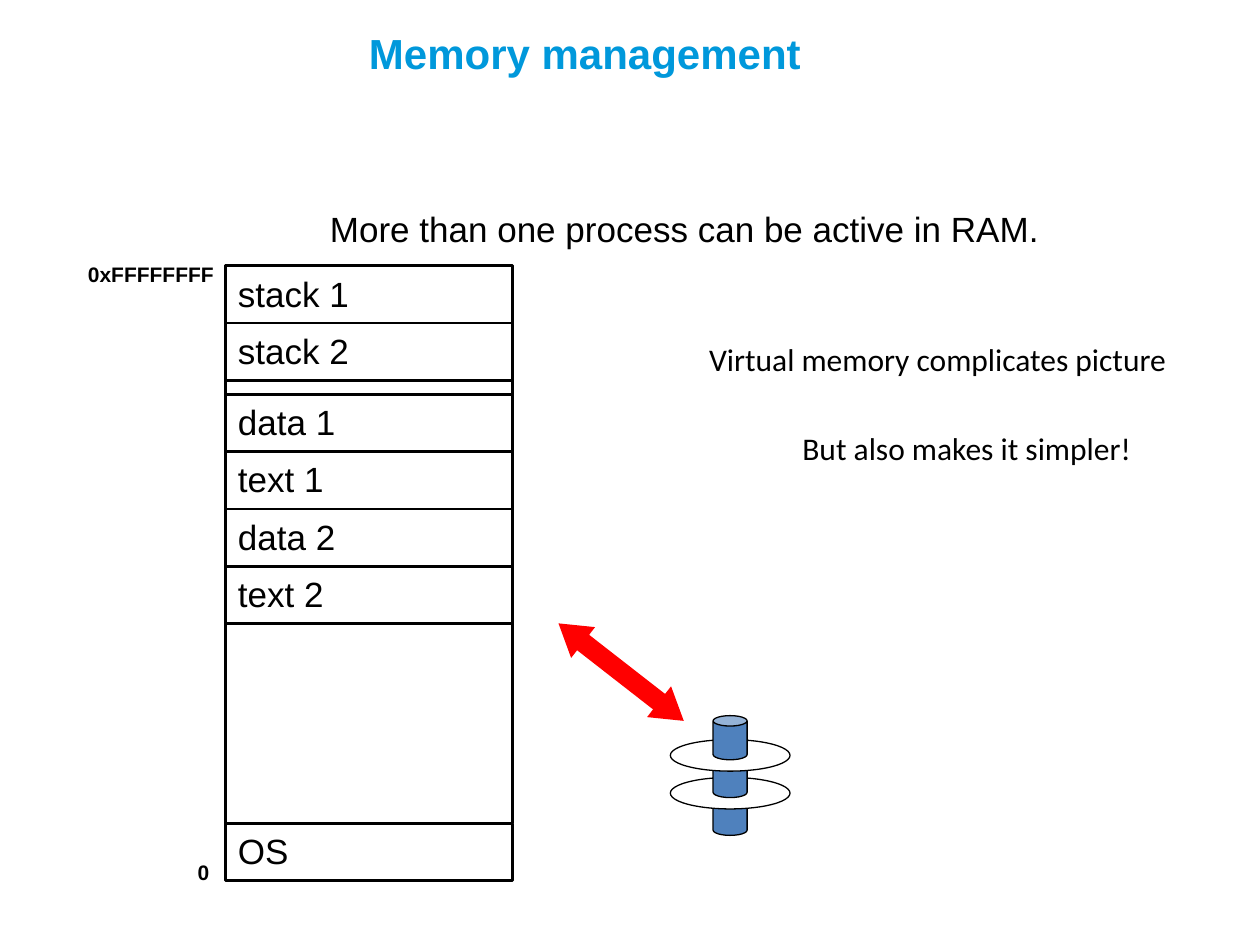
import pptx
import pptx.dml.color
import pptx.enum.shapes
import pptx.enum.text
import pptx.oxml.ns
import pptx.util
import lxml.etree
from pptx.util import Inches

RGBColor = pptx.dml.color.RGBColor
Shapes = pptx.enum.shapes.MSO_SHAPE
BLACK = RGBColor(0x00, 0x00, 0x00)
WHITE = RGBColor(0xFF, 0xFF, 0xFF)
TITLE_BLUE = RGBColor(0x00, 0x98, 0xDB)
DISK_BLUE = RGBColor(0x4F, 0x81, 0xBD)
RED = RGBColor(0xFF, 0x00, 0x00)
MAP_LINE = 1.5   # points
DISK_LINE = 0.75


def write(shape, text, size, font="Arial", color=BLACK, bold=False):
    frame = shape.text_frame
    frame.word_wrap = True
    frame.vertical_anchor = pptx.enum.text.MSO_ANCHOR.TOP
    para = frame.paragraphs[0]
    para.text = text
    para.alignment = pptx.enum.text.PP_ALIGN.LEFT
    para.font.name = font
    para.font.size = pptx.util.Pt(size)
    para.font.bold = bold
    para.font.color.rgb = color


def add_label(page, left, top, width, height, text, size, **style):
    box = page.shapes.add_textbox(
        Inches(left), Inches(top), Inches(width), Inches(height))
    write(box, text, size, **style)


def add_figure(shapes, kind, left, top, width, height, fill=None, line=None):
    figure = shapes.add_shape(
        kind, Inches(left), Inches(top), Inches(width), Inches(height))
    figure.shadow.inherit = False
    if fill is None:
        figure.fill.background()
    else:
        figure.fill.solid()
        figure.fill.fore_color.rgb = fill
    if line is None:
        figure.line.fill.background()
    else:
        figure.line.color.rgb = BLACK
        figure.line.width = pptx.util.Pt(line)
    return figure


def add_side(page, x, top, bottom):
    side = page.shapes.add_connector(
        pptx.enum.shapes.MSO_CONNECTOR.STRAIGHT,
        Inches(x), Inches(top), Inches(x), Inches(bottom))
    side.line.color.rgb = BLACK
    side.line.width = pptx.util.Pt(MAP_LINE)
    lxml.etree.SubElement(side._element.spPr, pptx.oxml.ns.qn("a:effectLst"))


def add_memory_map(page, left, top, width, height):
    row_height = 0.455
    stack_area = 1.02
    data_top = top + stack_area
    bottom = top + height
    os_top = bottom - row_height
    segment_groups = [
        (top, ["stack 1", "stack 2"]),
        (data_top, ["data 1", "text 1", "data 2", "text 2"]),
        (os_top, ["OS"]),
    ]

    # Stack area, and the sides that enclose free memory
    add_figure(page.shapes, Shapes.RECTANGLE,
               left, top, width, stack_area, line=MAP_LINE)
    for x in (left, left + width):
        add_side(page, x, data_top + 2 * row_height, os_top)

    # Segments, stacked downwards from the start of each group
    for group_top, names in segment_groups:
        for index, name in enumerate(names):
            segment = add_figure(
                page.shapes, Shapes.RECTANGLE, left,
                group_top + index * row_height, width, row_height,
                line=MAP_LINE)
            write(segment, name, 20)

    # Highest and lowest address
    add_label(page, left - 1.19, top - 0.08, 1.26, 0.3,
              "0xFFFFFFFF", 12, bold=True)
    add_label(page, left - 0.32, bottom - 0.22, 0.63, 0.3,
              "0", 12, bold=True)


def add_swap_arrow(page, left, top, width, height):
    arrow = add_figure(page.shapes, Shapes.LEFT_RIGHT_ARROW,
                       left, top, width, height, RED)
    arrow.adjustments[0] = 0.5
    arrow.adjustments[1] = 0.8
    arrow.rotation = 37.9


def add_spindle(parts, left, top, width, height):
    spindle = add_figure(parts, Shapes.CAN, left, top, width, height,
                         DISK_BLUE, DISK_LINE)
    spindle.adjustments[0] = 0.305


def add_disk(page, left, top, width, height):
    parts = page.shapes.add_group_shape().shapes
    platter_count = 2
    spindle_width, spindle_height = 0.27, 0.35
    platter_height, platter_offset = 0.25, 0.19
    spindle_left = left + (width - spindle_width) / 2
    pitch = (height - spindle_height) / platter_count

    # From the bottom up: each platter covers the spindle piece below it
    for level in range(platter_count, 0, -1):
        add_spindle(parts, spindle_left, top + level * pitch,
                    spindle_width, spindle_height)
        platter_top = top + platter_offset + (level - 1) * pitch
        add_figure(parts, Shapes.OVAL, left, platter_top,
                   width, platter_height, WHITE, DISK_LINE)
    add_spindle(parts, spindle_left, top, spindle_width, spindle_height)


def add_headings(page, left, top, width, height):
    add_label(page, left + 0.31, top, width - 0.31, 0.5,
              "Memory management", 24, color=TITLE_BLUE, bold=True)
    add_label(page, left, top + height - 0.43, width, 0.43,
              "More than one process can be active in RAM.", 20)


def add_remarks(page, left, top, width, height):
    line_height = 0.4
    add_label(page, left, top, width, line_height,
              "Virtual memory complicates picture", 18, font="Calibri")
    add_label(page, left + 0.74, top + height - line_height,
              width - 0.74, line_height,
              "But also makes it simpler!", 18, font="Calibri")


def main():
    deck = pptx.Presentation()
    deck.slide_width = Inches(10)
    deck.slide_height = Inches(7.5)
    page = deck.slides.add_slide(deck.slide_layouts[6])

    add_headings(page, 2.52, 0.17, 6.34, 1.86)
    add_memory_map(page, 1.79, 2.11, 2.28, 4.88)
    add_swap_arrow(page, 4.3, 5.18, 1.26, 0.31)
    add_remarks(page, 5.53, 2.65, 3.87, 1.11)
    add_disk(page, 5.32, 5.68, 0.95, 0.95)
    deck.save("out.pptx")


if __name__ == "__main__":
    main()
